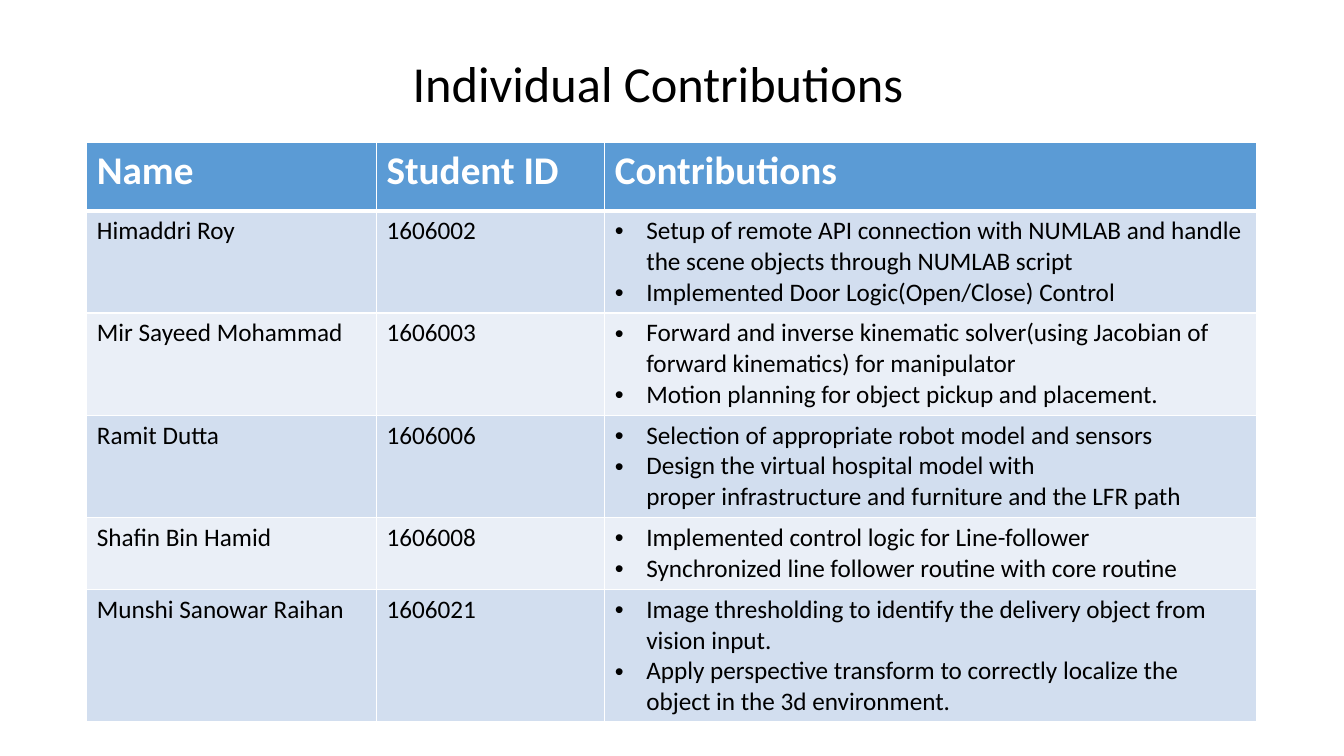
from lxml import etree
from pptx import Presentation
from pptx.dml.color import RGBColor
from pptx.enum.text import MSO_ANCHOR, MSO_AUTO_SIZE, PP_ALIGN
from pptx.oxml.ns import qn
from pptx.util import Pt

LEFT, TOP, GROW = PP_ALIGN.LEFT, MSO_ANCHOR.TOP, MSO_AUTO_SIZE.SHAPE_TO_FIT_TEXT

# Content
HARD = chr(160)  # space that does not break
TITLE = "Individual Contributions"
HEADS = ("Name", "Student ID", "Contributions")
TEAM = [
    ("Himaddri Roy", "1606002", [
        f"Setup of remote API connection with NUMLAB and handle the scene objects{HARD}through NUMLAB script",
        f"Implemented Door Logic(Open/Close){HARD}Control"]),
    ("Mir Sayeed Mohammad", "1606003", [
        "Forward and inverse kinematic solver(using Jacobian of forward kinematics) for manipulator",
        "Motion planning for object pickup and placement."]),
    ("Ramit Dutta", "1606006", [
        "Selection of appropriate robot model and sensors",
        f"Design the virtual hospital model with proper{HARD}infrastructure and furniture and the LFR path"]),
    ("Shafin Bin Hamid", "1606008", [
        f"Implemented control logic for Line-follower{HARD}",
        "Synchronized line follower routine with core routine"]),
    (f"Munshi Sanowar{HARD}Raihan", "1606021", [
        "Image thresholding to identify the delivery object from vision input.",
        "Apply perspective transform to correctly localize the object in the 3d environment."]),
]

# Look
FONT, BLACK, WHITE, BLUE = "Calibri", "000000", "FFFFFF", "5B9BD5"
BANDS = ("D2DEEF", "EAEFF7")
WIDTHS = (207, 163, 465.5)
ROW, INDENT, FOOT = 49, 22.5, 4.6


def color(code):
    return RGBColor.from_string(code)


def add_run(para, text, size, code, bold=False):
    run = para.add_run()
    run.text = text
    font = run.font
    font.name, font.size, font.bold = FONT, Pt(size), bold
    font.color.rgb = color(code)


def add_bullet(para):
    props = para._p.get_or_add_pPr()
    props.set("marL", str(Pt(INDENT)))
    props.set("indent", str(-Pt(INDENT)))
    etree.SubElement(props, qn("a:buFont"), typeface="Arial")
    etree.SubElement(props, qn("a:buChar"), char="•")


def add_edges(cell, above, below):
    props = cell._tc.get_or_add_tcPr()
    for side, width in (("L", 1), ("R", 1), ("T", above), ("B", below)):
        line = etree.SubElement(props, qn("a:ln" + side), w=str(Pt(width)))
        fill = etree.SubElement(line, qn("a:solidFill"))
        etree.SubElement(fill, qn("a:srgbClr"), val=WHITE)


def fill_cell(cell, lines, size, code, back, bold, bullets):
    cell.fill.solid()
    cell.fill.fore_color.rgb = color(back)
    cell.margin_bottom = Pt(FOOT)
    frame = cell.text_frame
    for i, text in enumerate(lines):
        para = frame.add_paragraph() if i else frame.paragraphs[0]
        if bullets:
            add_bullet(para)
        add_run(para, text, size, code, bold)


deck = Presentation()
deck.slide_width, deck.slide_height = Pt(960), Pt(540)
slide = deck.slides.add_slide(deck.slide_layouts[5])

# Title
title = slide.shapes.title
title.left, title.top, title.width, title.height = Pt(287.5), Pt(33.5), Pt(433.5), Pt(51)
frame = title.text_frame
frame.word_wrap, frame.auto_size, frame.vertical_anchor = True, GROW, TOP
frame.paragraphs[0].alignment = LEFT
add_run(frame.paragraphs[0], TITLE, 36, BLACK)

# Table: rows grow with their text
count = len(TEAM) + 1
grid = slide.shapes.add_table(count, len(HEADS), Pt(62), Pt(101.5),
                              Pt(sum(WIDTHS)), Pt(ROW * count))
table = grid.table
for column, width in zip(table.columns, WIDTHS):
    column.width = Pt(width)

for r, row in enumerate([HEADS] + TEAM):
    head = r == 0
    size, code, back = (28, WHITE, BLUE) if head else (18, BLACK, BANDS[(r - 1) % 2])
    for c, item in enumerate(row):
        cell = table.cell(r, c)
        add_edges(cell, 3 if r == 1 else 1, 3 if head else 1)
        bullets = isinstance(item, list)
        fill_cell(cell, item if bullets else [item], size, code, back, head, bullets)
grid.height = Pt(409)

deck.save("out.pptx")
